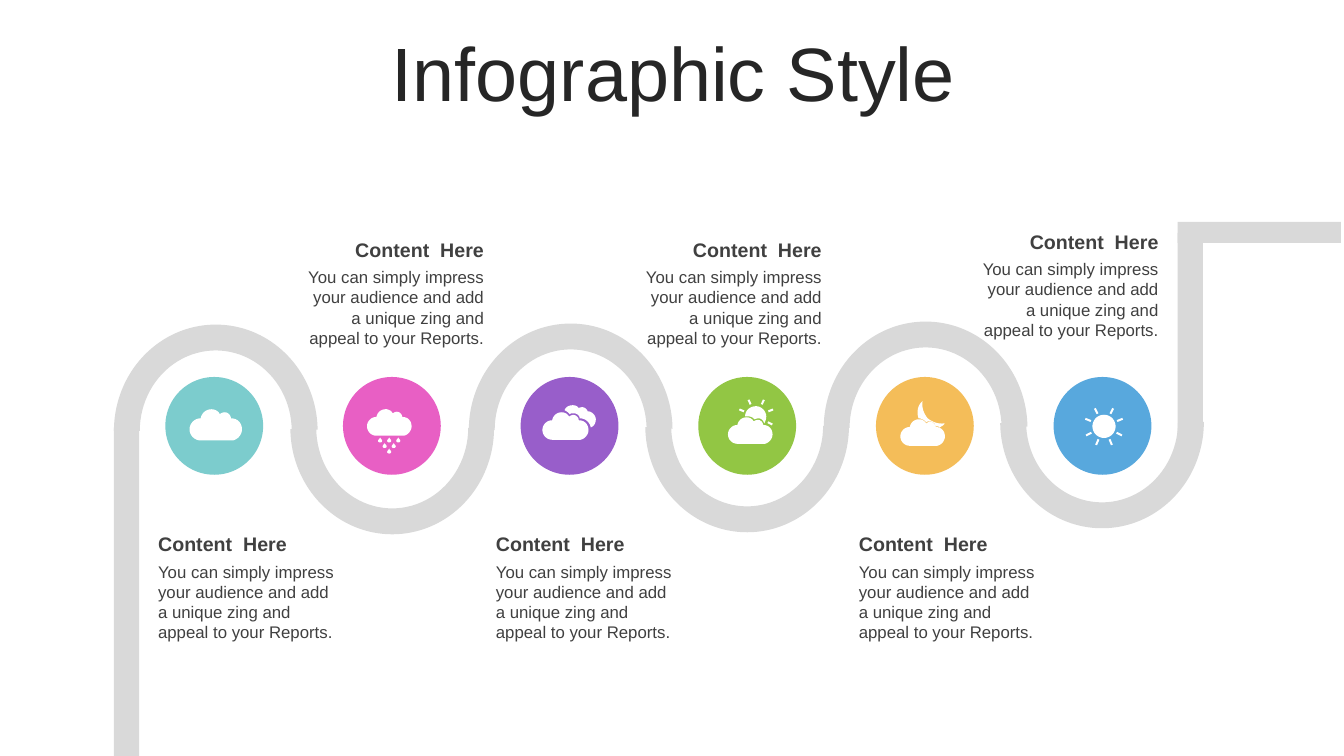
from math import cos, sin, radians
from pptx import Presentation
from pptx.dml.color import RGBColor
from pptx.enum.shapes import MSO_SHAPE
from pptx.enum.text import MSO_ANCHOR, MSO_AUTO_SIZE, PP_ALIGN
from pptx.util import Inches, Pt

# Content
TITLE = "Infographic Style"
HEAD = "Content  Here"
BODY = ("You can simply impress your audience and add "
        "a unique zing and appeal to your Reports.")
LEFT, RIGHT, MID = PP_ALIGN.LEFT, PP_ALIGN.RIGHT, PP_ALIGN.CENTER
NOTES = [(1.47, 5.23, LEFT), (4.82, 5.23, LEFT), (8.42, 5.23, LEFT),
         (2.9, 2.31, RIGHT), (6.25, 2.31, RIGHT), (9.59, 2.23, RIGHT)]
ARC_TOPS = [3.22, 3.19, 3.21, 3.17, 3.19, 3.13]
BARS = [(1.13, 4.25, 0.25, 3.3), (11.68, 2.31, 0.25, 2), (11.68, 2.2, 1.62, 0.21)]

THEME = {
    "font": "Arial", "title": 54, "head": 14, "body": 12,
    "dark": "262626", "text": "404040", "road": "D9D9D9", "icon": "FFFFFF",
    "discs": ["7CCCCD", "E85FC4", "985ECA", "92C644", "F4BD59", "58A8DD"],
}

# Outlines in hundredths of an inch: a start point, then curves (6) or lines (2)
CLOUD = [(22, 0), (25, 0, 29, 2, 30, 5), (31, 4, 33, 3, 35, 3),
         (38, 3, 41, 6, 41, 9), (48, 9, 52, 14, 52, 20), (52, 25, 48, 30, 43, 31),
         (11, 31), (5, 31, 0, 26, 0, 20), (0, 14, 5, 9, 11, 9), (12, 4, 16, 0, 22, 0)]
DROP = [(0, 0), (0, 1, 2, 2, 2, 3.5), (2, 5.5, -2, 5.5, -2, 3.5), (-2, 2, 0, 1, 0, 0)]
REAR = [(30, 0), (33, 0, 35, 1, 36, 3), (37, 2, 38, 2, 40, 2), (42, 2, 44, 4, 45, 6),
        (49, 6, 53, 10, 53, 14), (53, 18, 51, 21, 48, 22), (47, 17, 43, 13, 37, 13),
        (37, 10, 34, 8, 31, 8), (29, 8, 28, 8, 27, 9), (26, 7, 24, 6, 22, 5),
        (23, 2, 26, 0, 30, 0)]
RISE = [(28, 7), (33, 7, 38, 12, 38, 17), (38, 20, 37, 22, 36, 24),
        (35, 21, 33, 19, 30, 19), (29, 19, 27, 20, 26, 20), (25, 18, 22, 17, 19, 17),
        (17, 17), (17, 11, 22, 7, 28, 7)]
MOON = [(22, 0), (21, 6, 23, 12, 27, 17), (32, 21, 38, 23, 44, 22),
        (43, 24, 41, 25, 39, 26), (38, 25, 37, 25, 35, 25), (35, 22, 32, 20, 29, 20),
        (28, 20, 27, 20, 26, 21), (24, 19, 21, 17, 18, 17), (16, 11, 17, 4, 22, 0)]


def rgb(code):
    return RGBColor.from_string(code)


def paint(shape, code):
    shape.fill.solid()
    shape.fill.fore_color.rgb = rgb(code)
    shape.line.fill.background()
    shape.shadow.inherit = False


def write(shape, text, size, color, align=LEFT, bold=False,
          anchor=MSO_ANCHOR.TOP, fit=MSO_AUTO_SIZE.NONE, space=None):
    frame = shape.text_frame
    frame.word_wrap, frame.auto_size, frame.vertical_anchor = True, fit, anchor
    para = frame.paragraphs[0]
    para.text, para.alignment, para.line_spacing = text, align, space
    font = para.font
    font.name, font.size, font.bold = THEME["font"], Pt(size), bold
    font.color.rgb = rgb(color)


def trace(path, left, top, scale=1.0, steps=8):
    """Turn an outline into points in inches."""
    pts = [path[0]]
    for seg in path[1:]:
        if len(seg) == 2:
            pts.append(seg)
            continue
        a, b, c, d = pts[-1], seg[:2], seg[2:4], seg[4:]
        for n in range(1, steps + 1):
            t = n / steps
            u = 1 - t
            pts.append(tuple(u**3 * a[k] + 3 * u * u * t * b[k]
                             + 3 * u * t * t * c[k] + t**3 * d[k] for k in (0, 1)))
    return [(left + x * scale / 100, top + y * scale / 100) for x, y in pts]


def disc(x, y, r):
    return [(x + r * cos(radians(a)), y + r * sin(radians(a))) for a in range(0, 360, 10)]


def rays(x, y, near, far, turns):
    """Short bars that point away from a sun's centre."""
    out = []
    for turn in turns:
        c, s = cos(radians(turn)), sin(radians(turn))
        out.append([(x + r * c - w * s, y + r * s + w * c) for r, w in
                    ((near, -0.01), (far, -0.01), (far, 0.01), (near, 0.01))])
    return out


def draw(shapes, loops):
    pen = None
    for loop in loops:
        pts = [(Inches(x), Inches(y)) for x, y in loop]
        if pen is None:
            pen = shapes.build_freeform(*pts[0])
        else:
            pen.move_to(*pts[0])
        pen.add_line_segments(pts[1:], close=True)
    paint(pen.convert_to_shape(), THEME["icon"])


def box(*lengths):
    return [Inches(v) for v in lengths]


def main():
    deck = Presentation()
    deck.slide_width, deck.slide_height = box(13.33, 7.5)
    slide = deck.slides.add_slide(deck.slide_layouts[5])
    shapes = slide.shapes

    # Title
    title = shapes.title
    title.left, title.top, title.width, title.height = box(0.35, 0.37, 12.66, 0.79)
    write(title, TITLE, THEME["title"], THEME["dark"], align=MID,
          anchor=MSO_ANCHOR.MIDDLE, space=0.9)

    # Winding road
    road = shapes.add_group_shape().shapes
    for i, top in enumerate(ARC_TOPS):
        left = 1.13 + 3.52 * (i // 2) + 1.75 * (i % 2)
        arc = road.add_shape(MSO_SHAPE.BLOCK_ARC, *box(left, top, 2.02, 2.11))
        for k, value in enumerate((108, 215.59, 0.127)):
            arc.adjustments[k] = value
        arc.rotation = 180 * (i % 2)
        paint(arc, THEME["road"])
    for bar in BARS:
        paint(road.add_shape(MSO_SHAPE.RECTANGLE, *box(*bar)), THEME["road"])

    # Coloured discs
    for i, color in enumerate(THEME["discs"]):
        paint(shapes.add_shape(MSO_SHAPE.OVAL, *box(1.64 + 1.762 * i, 3.74, 0.97, 0.97)),
              color)

    # Notes
    for left, top, align in NOTES:
        note = shapes.add_group_shape().shapes
        for text, kind, drop, high in ((HEAD, "head", 0, 0.34), (BODY, "body", 0.29, 0.91)):
            write(note.add_textbox(*box(left, top + drop, 2, high)), text, THEME[kind],
                  THEME["text"], align=align, bold=kind == "head",
                  fit=MSO_AUTO_SIZE.SHAPE_TO_FIT_TEXT)

    # Weather icons
    drops = [(3.77 + 0.045 * (row + 2 * n), 4.34 + 0.055 * row)
             for row in range(3) for n in range(3 - row)]
    icons = [
        [trace(CLOUD, 1.88, 4.06)],
        [trace(CLOUD, 3.64, 4.06, 0.85)] + [trace(DROP, x, y) for x, y in drops],
        [trace(CLOUD, 5.38, 4.09, 0.88), trace(REAR, 5.38, 4.02)],
        [trace(CLOUD, 7.22, 4.14, 0.85), trace(RISE, 7.22, 3.96)]
        + rays(7.5, 4.13, 0.13, 0.18, (27, -22, -65, -115, -158)),
        [trace(CLOUD, 8.93, 4.16, 0.85), trace(MOON, 8.93, 3.98)],
        [disc(10.95, 4.23, 0.115)]
        + rays(10.95, 4.23, 0.14, 0.2, (27, 67, 113, 153, -158, -117, -63, -22)),
    ]
    for icon in icons:
        draw(shapes, icon)

    deck.save("out.pptx")


if __name__ == "__main__":
    main()
